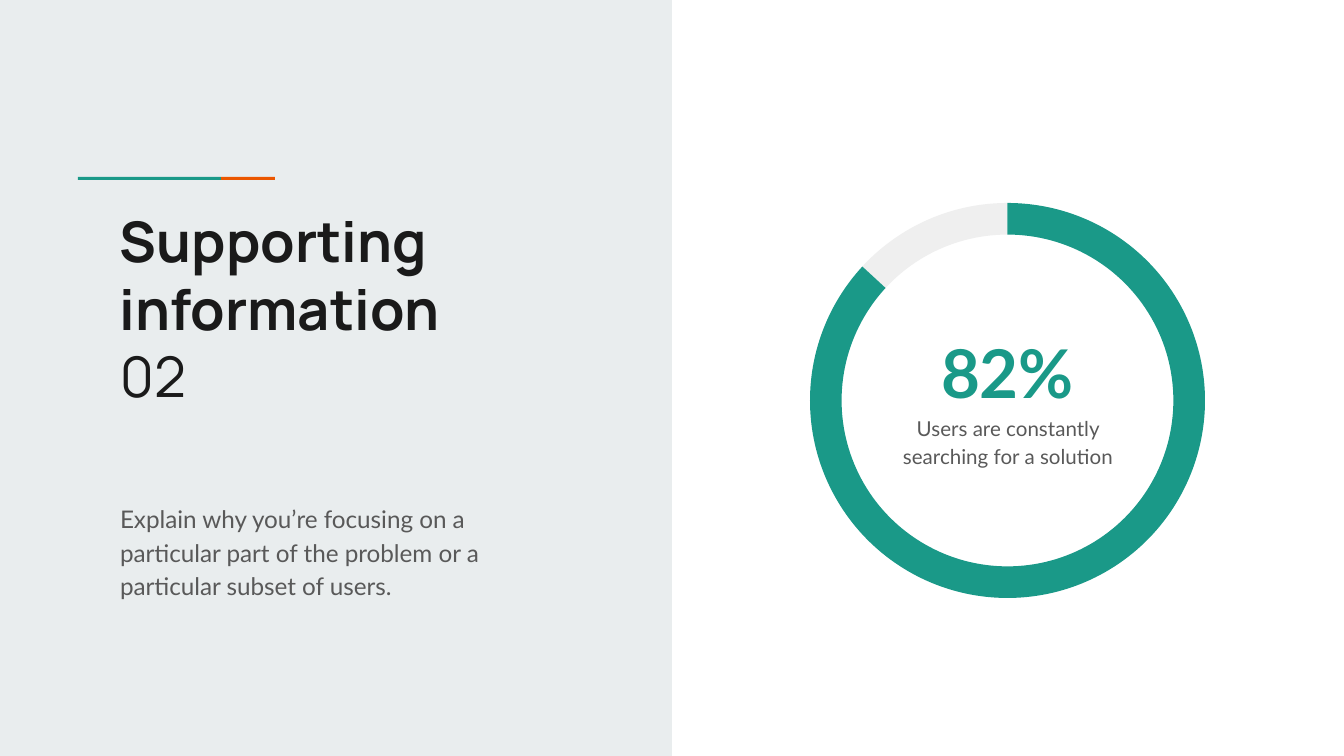
from pptx import Presentation
from pptx.dml.color import RGBColor
from pptx.enum.shapes import MSO_SHAPE
from pptx.enum.text import MSO_ANCHOR, PP_ALIGN
from pptx.util import Emu, Pt

EMU_PER_PX = 914400 / 134.4
WIDTH, HEIGHT = 1344, 756
COLORS = {
    "panel": "E9EDEE",
    "teal": "1A9988",
    "orange": "EB5600",
    "track": "EFEFEF",
    "title": "1A1A1A",
    "body": "595959",
}


def px(length):
    return Emu(round(length * EMU_PER_PX))


class SlideBuilder:
    inset = 13
    heading_font = "Manrope"
    body_font = "Lato"

    def __init__(self, slide):
        self.slide = slide

    def color(self, name):
        return RGBColor.from_string(COLORS[name])

    def shape(self, kind, left, top, width, height, fill):
        shape = self.slide.shapes.add_shape(
            kind, px(left), px(top), px(width), px(height))
        shape.shadow.inherit = False
        shape.fill.solid()
        shape.fill.fore_color.rgb = self.color(fill)
        shape.line.fill.background()
        return shape

    def rectangle(self, left, top, width, height, fill):
        return self.shape(MSO_SHAPE.RECTANGLE, left, top, width, height, fill)

    def ring_arc(self, left, top, size, start, end, fill):
        """Draw a clockwise arc; angles are in degrees from three o'clock."""
        arc = self.shape(MSO_SHAPE.BLOCK_ARC, left, top, size, size, fill)
        # Angles are stored in 1/60000 degree, adjustments in 1/100000
        arc.adjustments[0] = start * 0.6
        arc.adjustments[1] = end * 0.6
        arc.adjustments[2] = 0.08

    def text(self, left, top, width, height, lines, size, color, font=body_font,
             align=PP_ALIGN.LEFT, spacing=None, after=0):
        """Write one paragraph for each (words, bold) pair in lines."""
        box = self.slide.shapes.add_textbox(
            px(left), px(top), px(width), px(height))
        frame = box.text_frame
        frame.word_wrap = True
        frame.vertical_anchor = MSO_ANCHOR.TOP
        frame.margin_left = frame.margin_right = px(self.inset)
        frame.margin_top = frame.margin_bottom = px(self.inset)
        for index, (words, bold) in enumerate(lines):
            paragraph = frame.add_paragraph() if index else frame.paragraphs[0]
            paragraph.alignment = align
            paragraph.space_after = Pt(after)
            if spacing:
                paragraph.line_spacing = spacing
            run = paragraph.add_run()
            run.text = words
            run.font.name = font
            run.font.size = Pt(size)
            run.font.bold = bold
            run.font.color.rgb = self.color(color)


def main():
    presentation = Presentation()
    presentation.slide_width = px(WIDTH)
    presentation.slide_height = px(HEIGHT)
    slide = presentation.slides.add_slide(presentation.slide_layouts[6])
    builder = SlideBuilder(slide)

    # Left panel with its two-colour accent line
    builder.rectangle(0, 0, WIDTH // 2, HEIGHT, "panel")
    builder.rectangle(78, 177, 143, 3, "teal")
    builder.rectangle(221, 177, 54, 3, "orange")

    # Heading and explanation
    builder.text(107, 194, 485, 249,
                 [("Supporting information", True), ("02", False)],
                 30, "title", font=builder.heading_font)
    builder.text(107, 487, 451, 112,
                 [("Explain why you’re focusing on a particular part of the "
                   "problem or a particular subset of users.", False)],
                 13, "body", spacing=1.15, after=10)

    # Progress ring: the track fills the gap left by the value arc
    ring_start, ring_end = 270, 222.7
    builder.ring_arc(810, 203, 395, ring_end, ring_start, "track")
    builder.ring_arc(810, 203, 395, ring_start, ring_end, "teal")

    # Figure and caption inside the ring
    builder.text(887, 306, 241, 94, [("82%", True)], 36, "teal",
                 align=PP_ALIGN.CENTER, spacing=1.15)
    builder.text(864, 399, 288, 112,
                 [("Users are constantly searching for a solution", False)],
                 11, "body", align=PP_ALIGN.CENTER, spacing=1.15, after=16)

    presentation.save("out.pptx")


if __name__ == "__main__":
    main()
